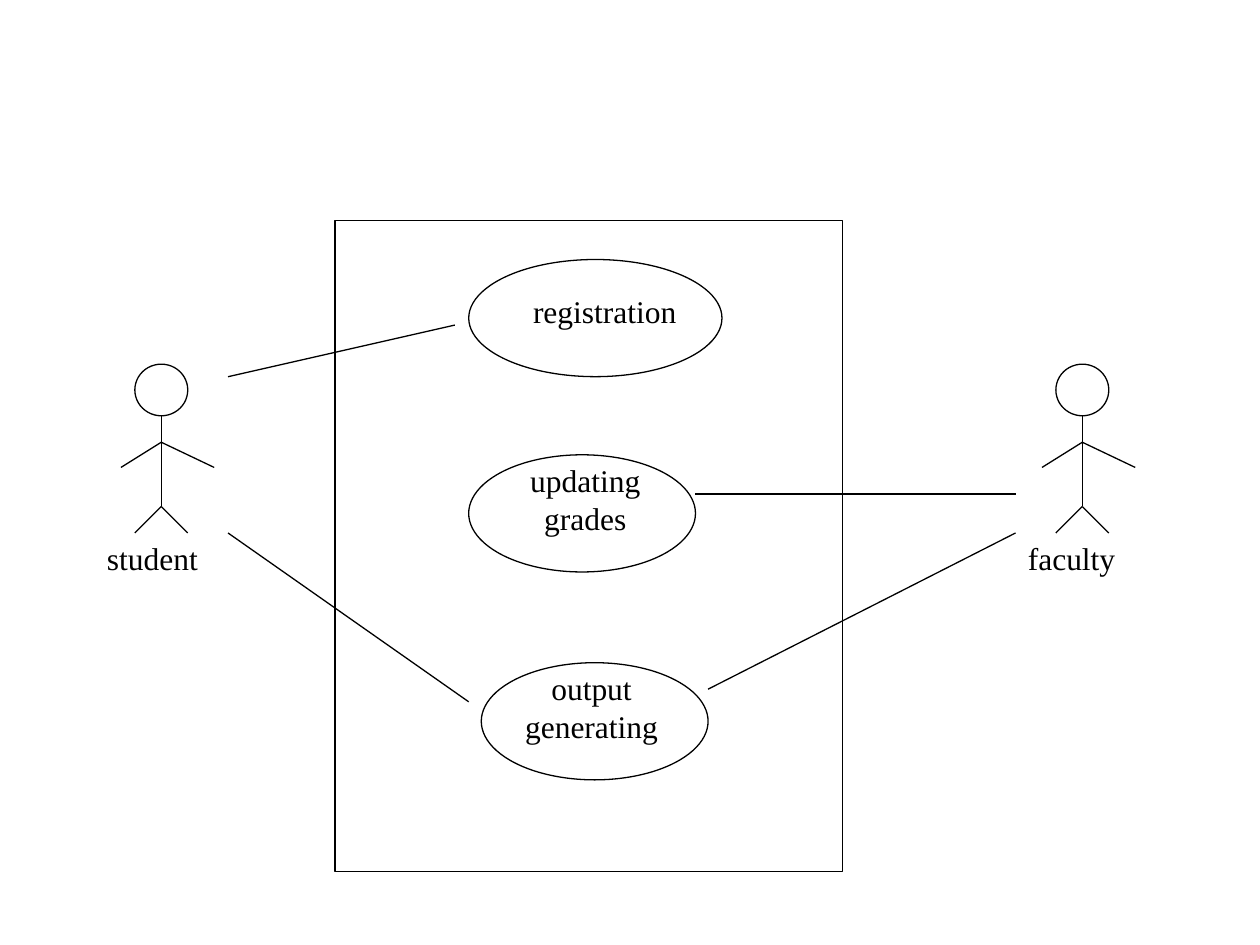
from lxml import etree
from pptx import Presentation
from pptx.dml.color import RGBColor
from pptx.enum.shapes import MSO_CONNECTOR, MSO_SHAPE
from pptx.enum.text import MSO_AUTO_SIZE, PP_ALIGN
from pptx.oxml.ns import qn
from pptx.util import Inches, Pt

BLACK = RGBColor(0, 0, 0)
FONT = "Times New Roman"

ACTORS = [("student", 1.28, 1.38), ("faculty", 8.59, 1.27)]
USE_CASES = [
    (["registration"], (3.72, 2.06, 2.01), (3.88, 2.27, 1.84, 0.4)),
    (["updating", "grades"], (3.72, 3.61, 1.8), (3.82, 3.61, 1.65, 0.7)),
    (["output", "generating"], (3.82, 5.26, 1.8), (3.87, 5.26, 1.65, 0.7)),
]
ASSOCIATIONS = [
    ((1.81, 2.99), (3.61, 2.58)),
    ((1.81, 4.23), (3.72, 5.57)),
    ((8.06, 3.92), (5.52, 3.92)),
    ((8.06, 4.23), (5.62, 5.47)),
]
SYSTEM = (2.66, 1.75, 4.03, 5.17)

OVAL_HEIGHT = 0.93
HEAD_TOP, NECK, SHOULDER, HIP, FOOT = 2.89, 3.3, 3.51, 4.02, 4.23
HAND = 3.71
HEAD_RADIUS = 0.21
LIMBS = [
    ((0, NECK), (0, HIP)),
    ((0, SHOULDER), (0.42, HAND)),
    ((0, SHOULDER), (-0.32, HAND)),
    ((0, HIP), (HEAD_RADIUS, FOOT)),
    ((0, HIP), (-HEAD_RADIUS, FOOT)),
]

prs = Presentation()
prs.slide_width, prs.slide_height = Inches(10), Inches(7.5)
slide = prs.slides.add_slide(prs.slide_layouts[6])


def add_outline(kind, *box):
    outline = slide.shapes.add_shape(kind, *map(Inches, box))
    outline.shadow.inherit = False
    outline.fill.background()
    outline.line.color.rgb = BLACK
    outline.line.width = Pt(0.75)


def add_line(start, end):
    line = slide.shapes.add_connector(
        MSO_CONNECTOR.STRAIGHT, *map(Inches, start + end))
    line.line.color.rgb = BLACK
    line.line.width = Pt(0.75)
    etree.SubElement(line._element.spPr, qn("a:effectLst"))


def add_label(lines, box, align):
    frame = slide.shapes.add_textbox(*map(Inches, box)).text_frame
    frame.word_wrap = True
    frame.auto_size = MSO_AUTO_SIZE.SHAPE_TO_FIT_TEXT
    for number, text in enumerate(lines):
        paragraph = frame.add_paragraph() if number else frame.paragraphs[0]
        paragraph.alignment = align
        run = paragraph.add_run()
        run.text = text
        run.font.name = FONT
        run.font.size = Pt(18)
        run.font.color.rgb = BLACK


for role, center, label_width in ACTORS:
    add_outline(MSO_SHAPE.OVAL, center - HEAD_RADIUS, HEAD_TOP,
                2 * HEAD_RADIUS, NECK - HEAD_TOP)
    for (dx1, y1), (dx2, y2) in LIMBS:
        add_line((center + dx1, y1), (center + dx2, y2))
    add_label([role], (center - 0.53, FOOT, label_width, 0.4), PP_ALIGN.LEFT)

for lines, oval, label_box in USE_CASES:
    add_outline(MSO_SHAPE.OVAL, *oval, OVAL_HEIGHT)
    add_label(lines, label_box, PP_ALIGN.CENTER)

for start, end in ASSOCIATIONS:
    add_line(start, end)

add_outline(MSO_SHAPE.RECTANGLE, *SYSTEM)

prs.save("out.pptx")
